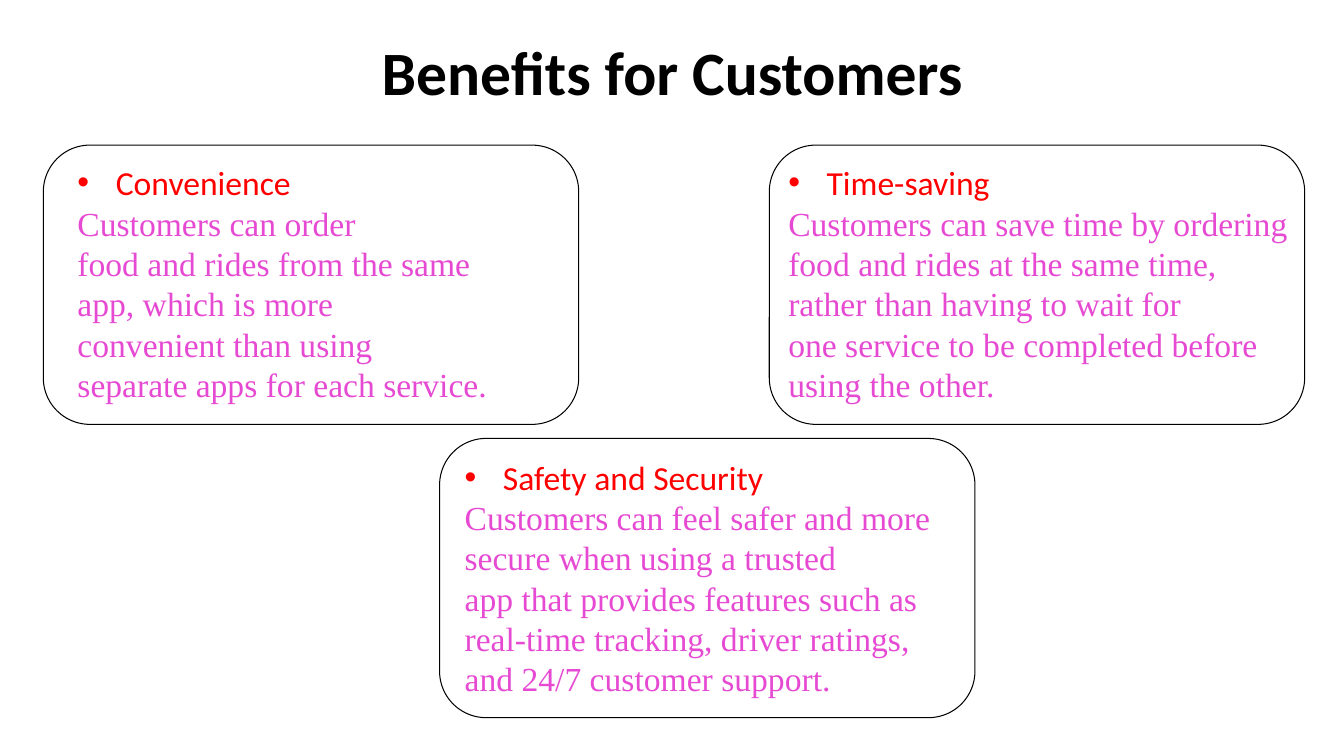
from lxml import etree
from pptx import Presentation
from pptx import util as u
from pptx.dml.color import RGBColor
from pptx.enum import shapes, text
from pptx.oxml.ns import qn

COLORS = {"title": "000000", "outline": "000000", "heading": "FF0000", "body": "E64AD3"}
CARD_WIDTH, CARD_HEIGHT = 5.31, 2.77
BENEFITS = [
    ((0.43, 1.44), (0.24, 0.12, 4.64, 2.52), "Convenience",
     ["Customers can order",
      "food and rides from the\u00a0same app, which is more convenient\u00a0than using "
      "separate\u00a0apps for each service."]),
    ((7.63, 1.44), (0.09, 0.12, 5.17, 3.23), "Time-saving\u00a0",
     ["Customers can save\u00a0time by ordering food\u00a0and rides at the\u00a0same\u00a0time, "
      "rather than\u00a0having to wait for one\u00a0service to be\u00a0completed before "
      "using the other."]),
    ((4.36, 4.35), (0.15, 0.13, 4.92, 2.93), "Safety and Security",
     ["Customers can feel\u00a0safer and more secure\u00a0when using a trusted app\u00a0that "
      "provides features such\u00a0as real-time tracking,\u00a0driver ratings, and 24/7 "
      "customer support."]),
]


def style(paragraph, font_name, size, color, bold=False):
    """Format every run of a paragraph."""
    for run in paragraph.runs:
        run.font.name = font_name
        run.font.size = u.Pt(size)
        run.font.bold = bold
        run.font.color.rgb = RGBColor.from_string(COLORS[color])


def add_bullet(paragraph):
    """Give a paragraph a hanging round bullet."""
    properties = paragraph._p.get_or_add_pPr()
    properties.set("marL", str(u.Inches(0.38)))
    properties.set("indent", str(u.Inches(-0.38)))
    etree.SubElement(properties, qn("a:buFont")).set("typeface", "Arial")
    etree.SubElement(properties, qn("a:buChar")).set("char", "\u2022")


def add_title(slide, left, top, width, height):
    """Place the centred slide title in the given box."""
    title = slide.shapes.add_textbox(*map(u.Inches, (left, top, width, height)))
    frame = title.text_frame
    frame.word_wrap = True
    frame.vertical_anchor = text.MSO_ANCHOR.MIDDLE
    frame.text = "Benefits for Customers"
    heading = frame.paragraphs[0]
    heading.alignment = text.PP_ALIGN.CENTER
    heading.line_spacing = 0.9
    style(heading, "Calibri", 44, "title", bold=True)


def add_card(slide, left, top, width, height):
    """Draw the rounded outline of a benefit."""
    card = slide.shapes.add_shape(shapes.MSO_SHAPE.ROUNDED_RECTANGLE,
                                  *map(u.Inches, (left, top, width, height)))
    card.shadow.inherit = False
    card.fill.background()
    card.line.color.rgb = RGBColor.from_string(COLORS["outline"])
    card.line.width = u.Pt(0.75)


def add_benefit(slide, left, top, inset, heading, body):
    """Write a bulleted heading and its body, inset from the card corner."""
    dx, dy, width, height = inset
    benefit = slide.shapes.add_textbox(*map(u.Inches, (left + dx, top + dy, width, height)))
    frame = benefit.text_frame
    frame.word_wrap = True
    frame.text = "\n".join([heading, *body])
    first, *rest = frame.paragraphs
    add_bullet(first)
    style(first, "Calibri", 24, "heading")
    for paragraph in rest:
        style(paragraph, "Times New Roman", 24, "body")


def build():
    """Build the customer benefits slide and save it."""
    deck = Presentation()
    deck.slide_width, deck.slide_height = u.Inches(13.33), u.Inches(7.5)
    slide = deck.slides.add_slide(deck.slide_layouts[6])
    add_title(slide, 0.92, 0.2, 11.5, 1.1)
    for (left, top), inset, heading, body in BENEFITS:
        add_card(slide, left, top, CARD_WIDTH, CARD_HEIGHT)
        add_benefit(slide, left, top, inset, heading, body)
    deck.save("out.pptx")


build()
